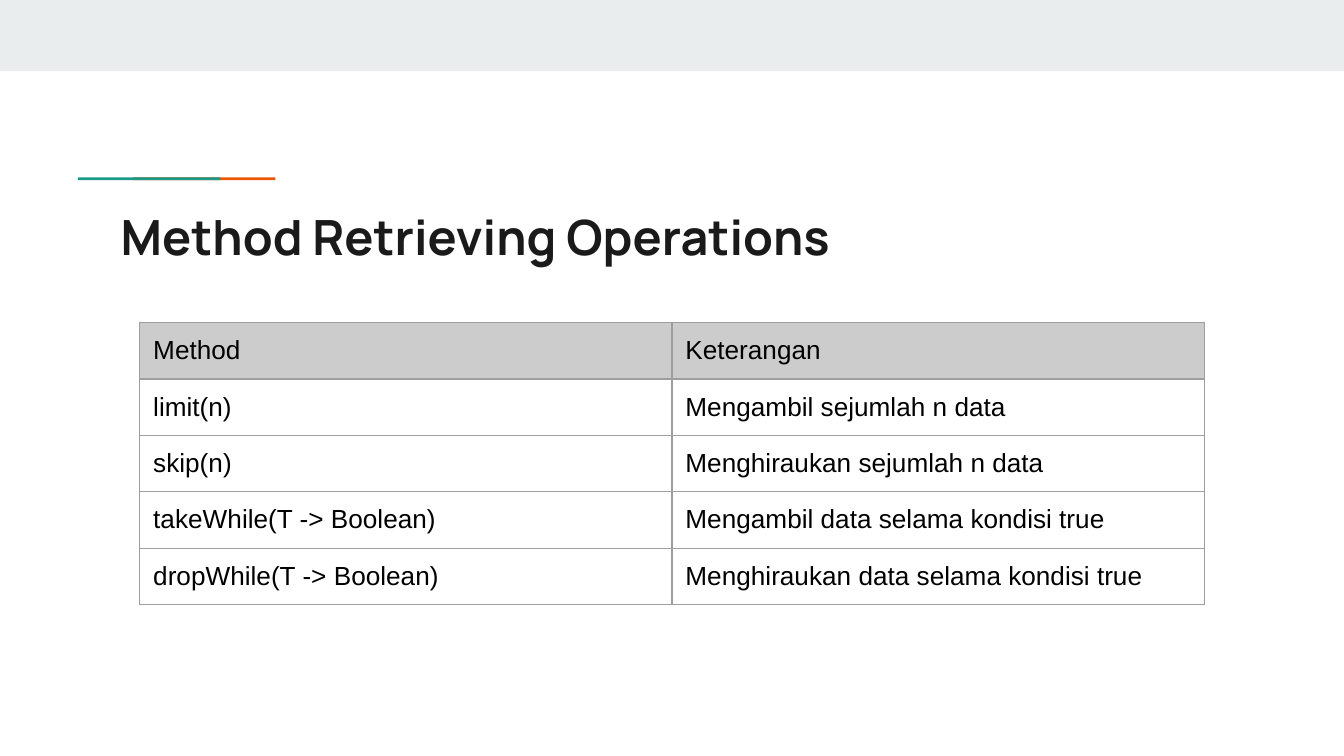
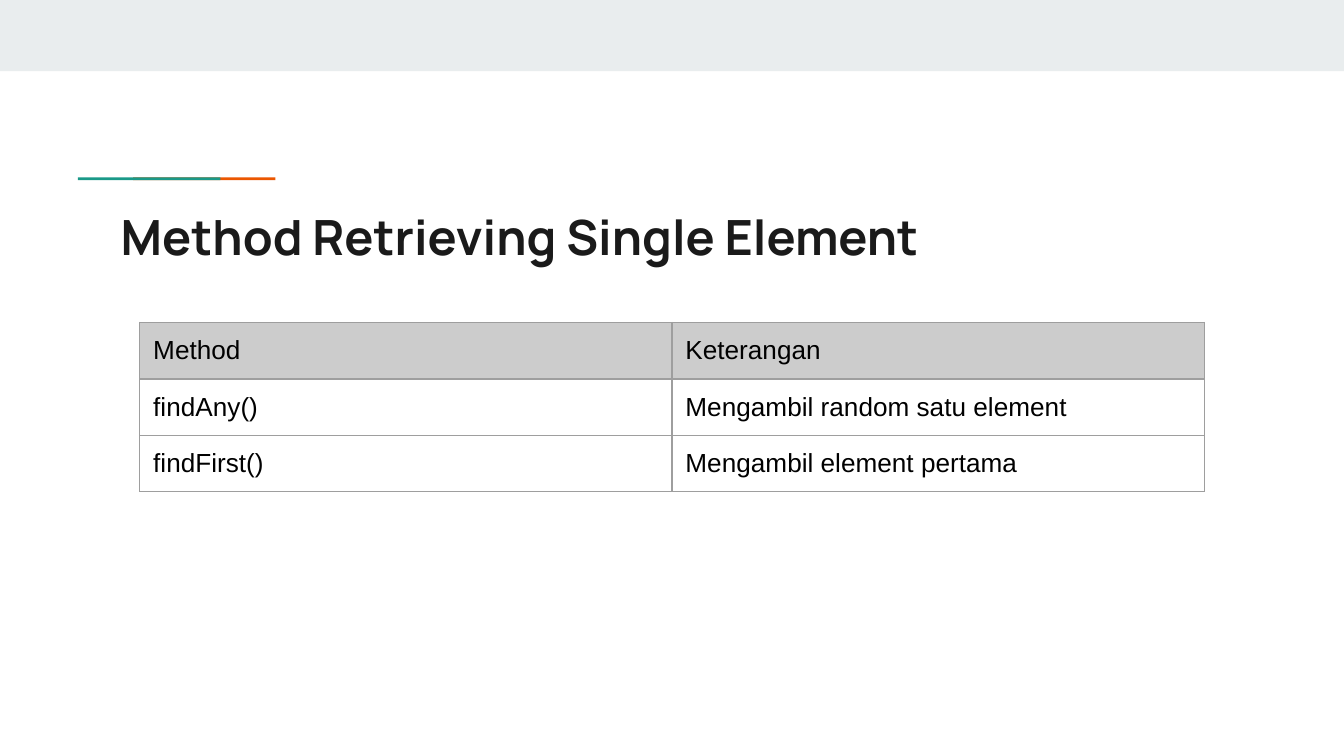
from dataclasses import dataclass

from lxml import etree
from pptx import Presentation
from pptx import util as u
from pptx.dml.color import RGBColor
from pptx.enum import shapes, text
from pptx.oxml import ns

COLORS = {
    "band": "E9EDEE",
    "orange": "EB5600",
    "teal": "1A9988",
    "title": "1A1A1A",
    "body": "000000",
    "header": "CCCCCC",
    "border": "9E9E9E",
}
HEADER = ("Method", "Keterangan")
COLUMN_WIDTH = 3.96
ROW_HEIGHT = 0.42
INSET = u.Inches(0.1)
CELL_BOTTOM = u.Inches(0.08)


@dataclass(frozen=True)
class Bar:
    left: float
    top: float
    width: float
    height: float
    color: str


@dataclass(frozen=True)
class MethodPage:
    title: str
    rows: tuple[tuple[str, str], ...]


BARS = (
    Bar(0, 0, 10, 0.53, "band"),
    Bar(0.99, 1.32, 1.06, 0.02, "orange"),
    Bar(0.58, 1.32, 1.06, 0.02, "teal"),
)
PAGES = (
    MethodPage("Method Retrieving Operations", (
        ("limit(n)", "Mengambil sejumlah n data"),
        ("skip(n)", "Menghiraukan sejumlah n data"),
        ("takeWhile(T -> Boolean)", "Mengambil data selama kondisi true"),
        ("dropWhile(T -> Boolean)", "Menghiraukan data selama kondisi true"),
    )),
    MethodPage("Method Retrieving Single Element", (
        ("findAny()", "Mengambil random satu element"),
        ("findFirst()", "Mengambil element pertama"),
    )),
)


def rgb(name: str) -> RGBColor:
    return RGBColor.from_string(COLORS[name])


def write(frame, content: str, *, font: str, size: float, color: str, bold: bool = False) -> None:
    frame.word_wrap = True
    span = frame.paragraphs[0].add_run()
    span.text = content
    span.font.name = font
    span.font.size = u.Pt(size)
    span.font.bold = bold
    span.font.color.rgb = rgb(color)


def draw_bar(page, bar: Bar) -> None:
    shape = page.shapes.add_shape(
        shapes.MSO_SHAPE.RECTANGLE, u.Inches(bar.left), u.Inches(bar.top),
        u.Inches(bar.width), u.Inches(bar.height))
    shape.shadow.inherit = False
    shape.fill.solid()
    shape.fill.fore_color.rgb = rgb(bar.color)
    shape.line.fill.background()


def draw_title(page, title: str) -> None:
    box = page.shapes.add_textbox(u.Inches(0.8), u.Inches(1.44), u.Inches(8.41), u.Inches(0.59))
    frame = box.text_frame
    frame.margin_left = frame.margin_right = frame.margin_top = frame.margin_bottom = INSET
    frame.vertical_anchor = text.MSO_ANCHOR.TOP
    write(frame, title, font="Manrope", size=26, color="title", bold=True)


def add_borders(cell) -> None:
    properties = cell._tc.get_or_add_tcPr()
    for side in ("lnL", "lnR", "lnT", "lnB"):
        line = etree.SubElement(properties, ns.qn(f"a:{side}"), w=str(u.Pt(0.75)))
        fill = etree.SubElement(line, ns.qn("a:solidFill"))
        etree.SubElement(fill, ns.qn("a:srgbClr"), val=COLORS["border"])


def draw_table(page, rows: tuple[tuple[str, str], ...]) -> None:
    lines = (HEADER, *rows)
    table = page.shapes.add_table(
        len(lines), len(HEADER), u.Inches(1.04), u.Inches(2.4),
        u.Inches(COLUMN_WIDTH * len(HEADER)), u.Inches(ROW_HEIGHT * len(lines))).table
    table.first_row = table.horz_banding = False
    for column in table.columns:
        column.width = u.Inches(COLUMN_WIDTH)
    for row_index, line in enumerate(lines):
        table.rows[row_index].height = u.Inches(ROW_HEIGHT)
        for column_index, content in enumerate(line):
            cell = table.cell(row_index, column_index)
            cell.margin_left = cell.margin_right = cell.margin_top = INSET
            cell.margin_bottom = CELL_BOTTOM
            add_borders(cell)
            if row_index == 0:
                cell.fill.solid()
                cell.fill.fore_color.rgb = rgb("header")
            else:
                cell.fill.background()
            write(cell.text_frame, content, font="Arial", size=14, color="body")


def main() -> None:
    deck = Presentation()
    deck.slide_width = u.Inches(10)
    deck.slide_height = deck.slide_width * 9 // 16
    for content in PAGES:
        page = deck.slides.add_slide(deck.slide_layouts[6])
        for bar in BARS:
            draw_bar(page, bar)
        draw_title(page, content.title)
        draw_table(page, content.rows)
    deck.save("out.pptx")


if __name__ == "__main__":
    main()
